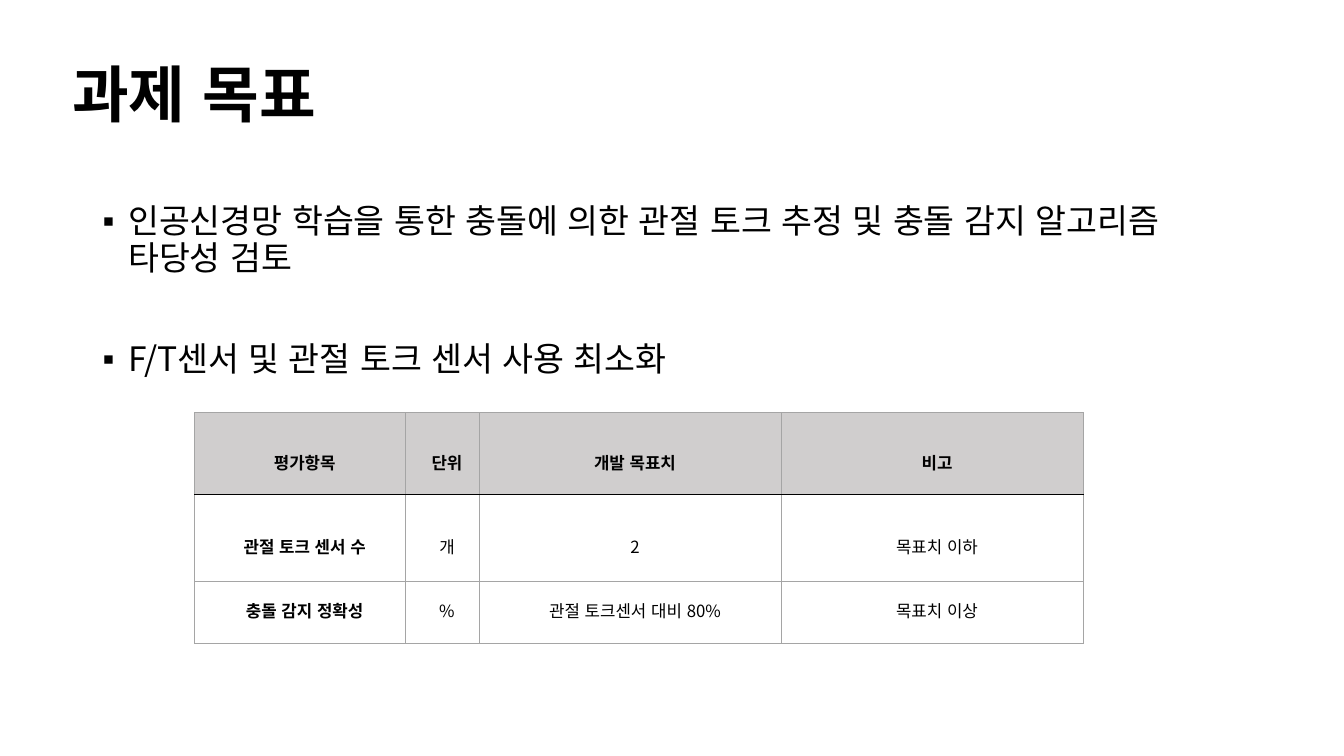
from lxml.etree import SubElement
from pptx import Presentation
from pptx.dml.color import RGBColor
from pptx.enum.lang import MSO_LANGUAGE_ID
from pptx.enum.text import MSO_ANCHOR, PP_ALIGN
from pptx.oxml.ns import qn
from pptx.util import Cm, Pt

GOALS = [
    "인공신경망 학습을 통한 충돌에 의한 관절 토크 추정 및 충돌 감지 알고리즘 타당성 검토",
    "F/T센서 및 관절 토크 센서 사용 최소화",
]
CRITERIA = [
    ["평가항목", "단위", "개발 목표치", "비고"],
    ["관절 토크 센서 수", "개", "2", "목표치 이하"],
    ["충돌 감지 정확성", "%", "관절 토크센서 대비 80%", "목표치 이상"],
]
COL_WIDTHS = [5.31, 1.86, 7.62, 7.6]
ROW_HEIGHTS = [2.06, 2.19, 1.56]


def color(value):
    return RGBColor.from_string(value)


class SlideBuilder:
    FONT, BULLET_FONT = "Noto Sans CJK KR", "Arial"
    TEXT, GRID, HEADER = "000000", "A5A5A5", "D0CECE"

    def __init__(self, slide):
        self.s = slide

    def run(self, p, text, size, bold=False):
        r = p.add_run()
        r.text = text
        r.font.size, r.font.bold, r.font.name = Pt(size), bold, self.FONT
        r.font.language_id = MSO_LANGUAGE_ID.KOREAN
        r.font.color.rgb = color(self.TEXT)
        SubElement(r.font._element, qn("a:ea"), typeface=self.FONT)

    def indent(self, p, left, first):
        pPr = p._p.get_or_add_pPr()
        pPr.set("marL", str(Cm(left)))
        pPr.set("indent", str(Cm(first)))
        return pPr

    def text_box(self, x, y, w, h):
        tf = self.s.shapes.add_textbox(Cm(x), Cm(y), Cm(w), Cm(h)).text_frame
        tf.word_wrap = True
        return tf

    def title(self, text, x, y, w, h):
        tf = self.text_box(x, y, w, h)
        tf.vertical_anchor = MSO_ANCHOR.MIDDLE
        p = tf.paragraphs[0]
        p.line_spacing = 0.9
        self.run(p, text, 44, bold=True)

    def bullets(self, items, x, y, w, h):
        tf = self.text_box(x, y, w, h)
        for i, item in enumerate(items):
            p = tf.add_paragraph() if i else tf.paragraphs[0]
            p.line_spacing = 0.93
            p.space_before = Pt(45 if i else 0)
            pPr = self.indent(p, 0.64, -0.64)
            SubElement(pPr, qn("a:buFont"), typeface=self.BULLET_FONT)
            SubElement(pPr, qn("a:buChar"), char="▪")
            self.run(p, item, 24)

    def borders(self, cell, **sides):
        tcPr = cell._tc.get_or_add_tcPr()
        for side in "LRTB":
            ln = SubElement(tcPr, qn(f"a:ln{side}"), w=str(Pt(1)))
            fill = SubElement(ln, qn("a:solidFill"))
            SubElement(fill, qn("a:srgbClr"), val=sides.get(side, self.GRID))

    def cell(self, cell, text, bold, anchor):
        cell.margin_left = cell.margin_right = Cm(0.18)
        cell.margin_top = cell.margin_bottom = 0
        cell.vertical_anchor = anchor
        p = cell.text_frame.paragraphs[0]
        p.alignment = PP_ALIGN.CENTER
        p.line_spacing, p.space_before = 1.7, Pt(8)
        self.indent(p, 1.5, -1.27)
        self.run(p, text, 12, bold)

    def table(self, rows, widths, heights, x, y):
        frame = self.s.shapes.add_table(len(rows), len(widths), Cm(x), Cm(y),
                                        Cm(sum(widths)), Cm(sum(heights)))
        table = frame.table
        table.first_row = table.horz_banding = False
        for column, width in zip(table.columns, widths):
            column.width = Cm(width)
        for i, (row, height) in enumerate(zip(rows, heights)):
            table.rows[i].height = Cm(height)
            last = i == len(rows) - 1
            for j, text in enumerate(row):
                cell = table.cell(i, j)
                self.cell(cell, text, bold=i == 0 or j == 0,
                          anchor=MSO_ANCHOR.TOP if last else MSO_ANCHOR.MIDDLE)
                self.borders(cell, **{0: {"B": self.TEXT}, 1: {"T": self.TEXT}}.get(i, {}))
                if i == 0:
                    cell.fill.solid()
                    cell.fill.fore_color.rgb = color(self.HEADER)
                else:
                    cell.fill.background()


def main():
    prs = Presentation()
    prs.slide_width, prs.slide_height = Cm(33.87), Cm(19.05)
    slide = SlideBuilder(prs.slides.add_slide(prs.slide_layouts[6]))
    slide.bullets(GOALS, 2.34, 5, 28.4, 5.33)
    slide.table(CRITERIA, COL_WIDTHS, ROW_HEIGHTS, 4.91, 10.4)
    slide.title("과제 목표", 1.57, 0.61, 8.1, 3.68)
    prs.save("out.pptx")


if __name__ == "__main__":
    main()
